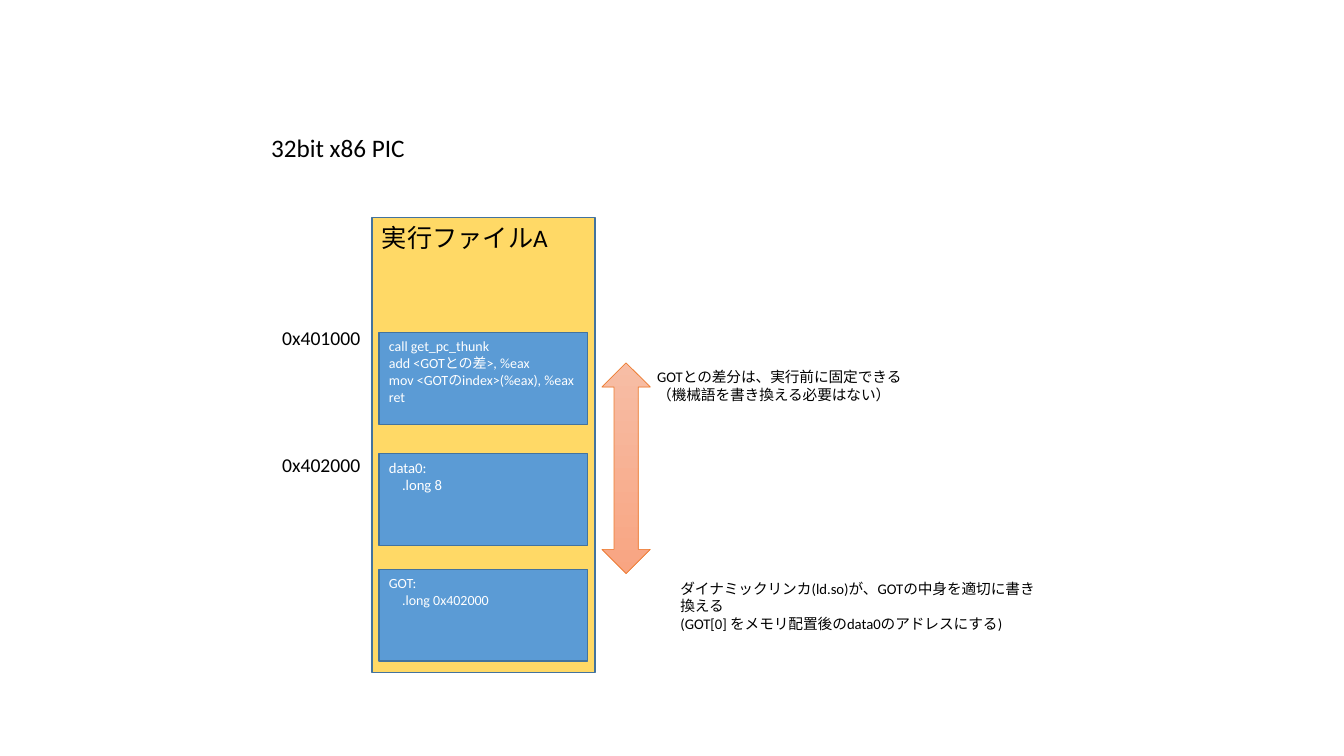
from pptx import Presentation
from pptx import util as u
from pptx.dml.color import RGBColor
from pptx.enum import shapes, text

PX = u.Inches(1) // 100
FONT = "Calibri"
BLACK = RGBColor(0x00, 0x00, 0x00)
WHITE = RGBColor(0xFF, 0xFF, 0xFF)
FILE_YELLOW = RGBColor(0xFF, 0xD9, 0x66)
SECTION_BLUE = RGBColor(0x5B, 0x9B, 0xD5)
BORDER_BLUE = RGBColor(0x43, 0x73, 0x9E)
ARROW_TOP = RGBColor(0xF7, 0xBD, 0xA5)
ARROW_BOTTOM = RGBColor(0xF8, 0xA5, 0x82)
ARROW_BORDER = RGBColor(0xED, 0x7D, 0x31)

SECTION_LEFT, SECTION_WIDTH, SECTION_HEIGHT = 376, 207, 91
DIRECTIVE_INDENT = 13

# top, font size, lines
SECTIONS = [
    (330, 10, ["call get_pc_thunk", "add <GOTとの差>, %eax",
               "mov <GOTのindex>(%eax), %eax", "ret"]),
    (450, 10.5, ["data0:", ".long 8"]),
    (565, 10, ["GOT:", ".long 0x402000"]),
]

# left, top, width, height, font size, wrap, lines
LABELS = [
    (259, 126, 154, 40, 18, False, ["32bit x86 PIC"]),
    (270, 318, 99, 34, 14, False, ["0x401000"]),
    (270, 444, 99, 34, 14, False, ["0x402000"]),
    (642, 360, 294, 45, 10.5, True,
     ["GOTとの差分は、実行前に固定できる", "（機械語を書き換える必要はない）"]),
    (665, 570, 384, 45, 10.5, True,
     ["ダイナミックリンカ(ld.so)が、GOTの中身を適切に書き換える",
      "(GOT[0] をメモリ配置後のdata0のアドレスにする)"]),
]


def place(*lengths):
    return [length * PX for length in lengths]


def write_lines(frame, lines, size, color, wrap=True):
    """Fill a frame with one paragraph a line, indenting assembler directives."""
    frame.word_wrap = wrap
    frame.vertical_anchor = text.MSO_ANCHOR.TOP
    font_format = {"name": FONT, "size": u.Pt(size)}
    for index, line in enumerate(lines):
        paragraph = frame.paragraphs[0] if index == 0 else frame.add_paragraph()
        paragraph.alignment = text.PP_ALIGN.LEFT
        if line.startswith("."):
            paragraph._p.get_or_add_pPr().set("marL", str(DIRECTIVE_INDENT * PX))
        run = paragraph.add_run()
        run.text = line
        for attribute, value in font_format.items():
            setattr(run.font, attribute, value)
        run.font.color.rgb = color


def add_outlined(slide, preset, box, border, border_width):
    outlined = slide.shapes.add_shape(preset, *place(*box))
    outlined.shadow.inherit = False
    outlined.line.color.rgb = border
    outlined.line.width = u.Pt(border_width)
    return outlined


def add_block(slide, box, fill, lines, size, color):
    block = add_outlined(slide, shapes.MSO_SHAPE.RECTANGLE, box, BORDER_BLUE, 1)
    block.fill.solid()
    block.fill.fore_color.rgb = fill
    write_lines(block.text_frame, lines, size, color)


def add_label(slide, box, lines, size, wrap):
    label = slide.shapes.add_textbox(*place(*box))
    write_lines(label.text_frame, lines, size, BLACK, wrap)


def add_distance_arrow(slide, box):
    arrow = add_outlined(slide, shapes.MSO_SHAPE.UP_DOWN_ARROW, box,
                         ARROW_BORDER, 0.5)
    arrow.fill.gradient()
    arrow.fill.gradient_angle = 270
    for stop, color in zip(arrow.fill.gradient_stops, (ARROW_TOP, ARROW_BOTTOM)):
        stop.color.rgb = color


def main():
    deck = Presentation()
    deck.slide_width, deck.slide_height = place(1333, 750)
    slide = deck.slides.add_slide(deck.slide_layouts[6])

    add_block(slide, (369, 216, 221, 451), FILE_YELLOW, ["実行ファイルA"], 18, BLACK)
    for top, size, lines in SECTIONS:
        add_block(slide, (SECTION_LEFT, top, SECTION_WIDTH, SECTION_HEIGHT),
                  SECTION_BLUE, lines, size, WHITE)
    add_distance_arrow(slide, (597, 360, 48, 209))
    for *box, size, wrap, lines in LABELS:
        add_label(slide, box, lines, size, wrap)

    deck.save("out.pptx")


if __name__ == "__main__":
    main()
